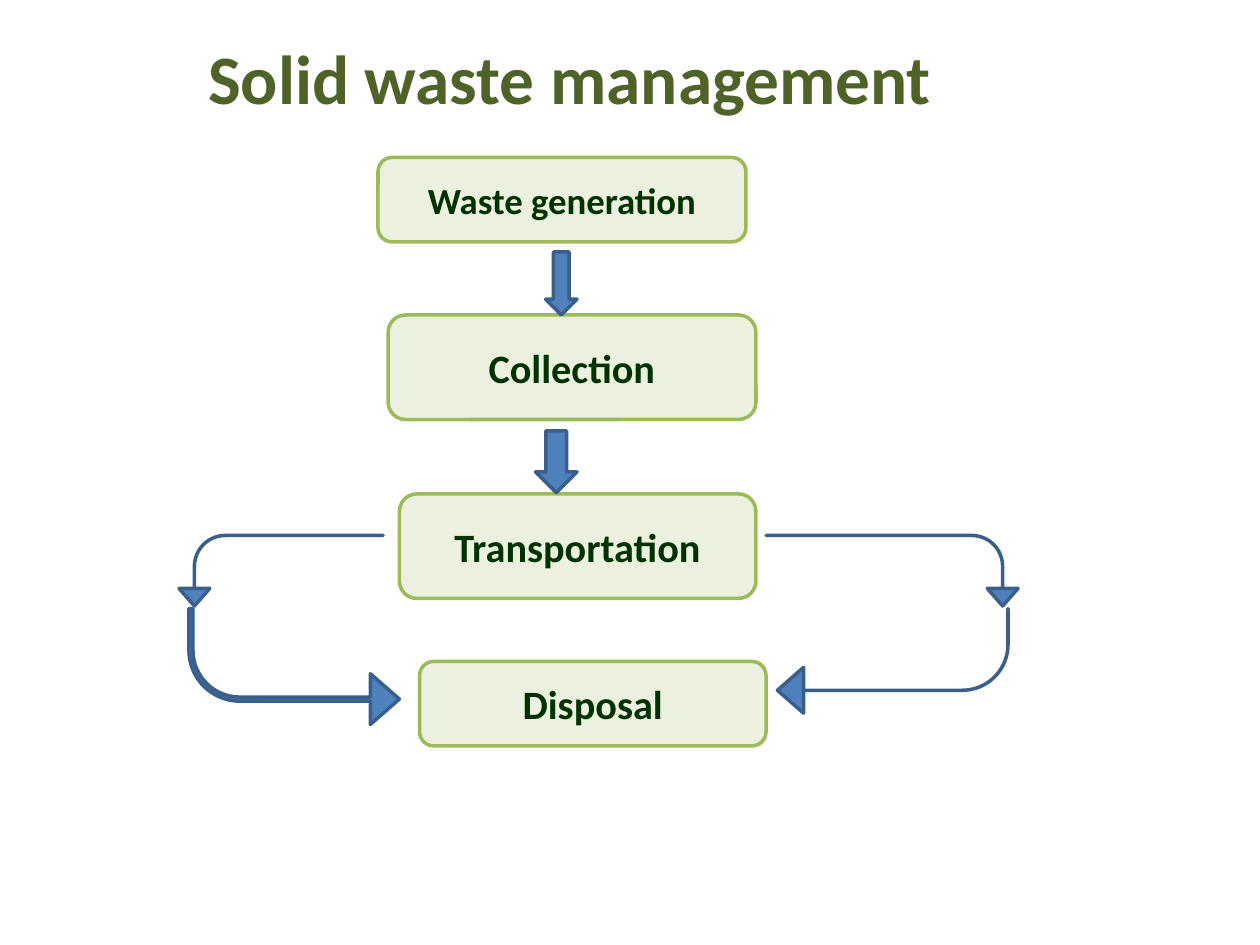
"""Build the solid waste management flow slide."""
from pptx import Presentation
from pptx.dml.color import RGBColor
from pptx.enum.shapes import MSO_SHAPE
from pptx.enum.text import MSO_ANCHOR, MSO_AUTO_SIZE, PP_ALIGN
from pptx.util import Inches, Pt

COLORS = {"title": "4F6228", "text": "003300", "box": "EBF1DE",
          "edge": "9BBB59", "arrow": "4F81BD", "rim": "3A5F8C"}
TITLE = "Solid waste management "
STEPS = [
    ("Waste generation", 21, (3, 1.25, 2.92, 0.67)),
    ("Collection", 23, (3.08, 2.5, 2.92, 0.83)),
    ("Transportation", 23, (3.17, 3.92, 2.83, 0.83)),
    ("Disposal", 23, (3.33, 5.25, 2.75, 0.67)),
]
BENDS = [
    ((6.8, 3.53, 0.56, 2), 90, None, 0),
    ((1.95, 3.72, 0.56, 1.62), 270, "flipH", 0),
    ((1.5, 4.83, 1.67, 0.92), 0, "flipV", 0.035),
    ((6.17, 4.83, 1.83, 0.83), 180, None, 0),
]
DOWNS = [(4.33, 2, 0.25, 0.5), (4.25, 3.42, 0.33, 0.49)]


def color(name):
    return RGBColor.from_string(COLORS[name])


def write(shape, text, size, tint):
    frame = shape.text_frame
    frame.word_wrap = True
    frame.auto_size = MSO_AUTO_SIZE.NONE
    frame.vertical_anchor = MSO_ANCHOR.MIDDLE
    frame.text = text
    para = frame.paragraphs[0]
    para.alignment = PP_ALIGN.CENTER
    font = para.font
    font.name, font.size, font.bold = "Calibri", Pt(size), True
    font.color.rgb = color(tint)


def draw(slide, kind, area, fill, line):
    shape = slide.shapes.add_shape(kind, *map(Inches, area))
    shape.shadow.inherit = False
    shape.fill.solid()
    shape.fill.fore_color.rgb = color(fill)
    shape.line.color.rgb = color(line)
    shape.line.width = Pt(2)
    return shape


def main():
    deck = Presentation()
    deck.slide_width, deck.slide_height = Inches(10), Inches(7.5)
    slide = deck.slides.add_slide(deck.slide_layouts[5])
    title = slide.shapes.title
    title.left, title.top, title.width, title.height = map(
        Inches, (0.5, 0.3, 8.17, 0.62))
    write(title, TITLE, 39.6, "title")
    for text, size, area in STEPS:
        box = draw(slide, MSO_SHAPE.ROUNDED_RECTANGLE, area, "box", "edge")
        write(box, text, size, "text")
    for area, turn, flip, stem in BENDS:
        bend = draw(slide, MSO_SHAPE.BENT_ARROW, area, "arrow", "rim")
        bend.rotation = turn
        for index, value in enumerate((stem, 0.219, 0.25, 0.438)):
            bend.adjustments[index] = value
        if flip:
            bend.element.spPr.get_or_add_xfrm().set(flip, "1")
    for area in DOWNS:
        draw(slide, MSO_SHAPE.DOWN_ARROW, area, "arrow", "rim")
    deck.save("out.pptx")


if __name__ == "__main__":
    main()
